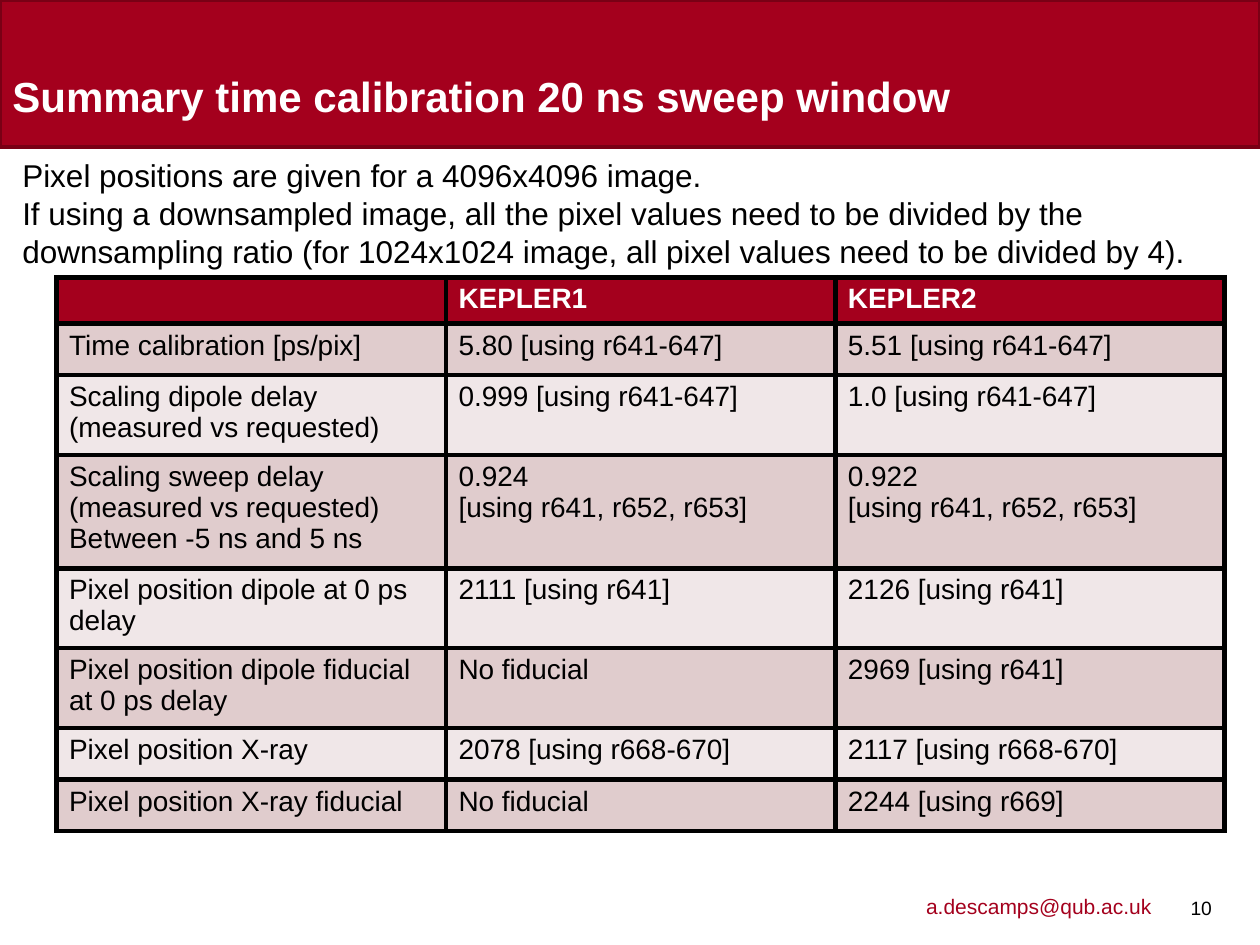
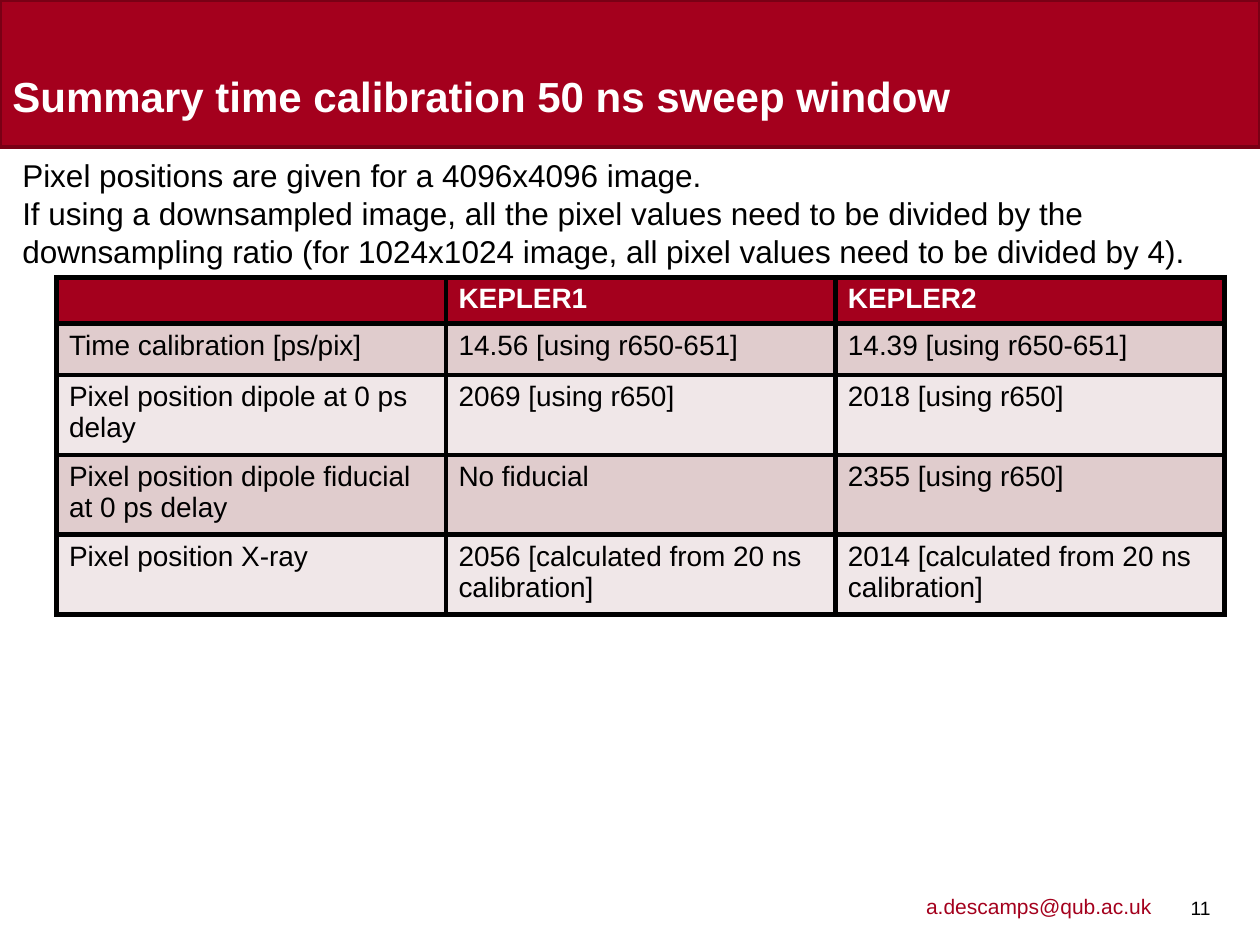
from lxml.etree import SubElement
from pptx import Presentation
from pptx.dml.color import RGBColor
from pptx.enum.shapes import MSO_SHAPE
from pptx.enum.text import MSO_ANCHOR, MSO_AUTO_SIZE, PP_ALIGN
from pptx.oxml.ns import qn
from pptx.util import Cm, Pt

# Content
INTRO = (
    "Pixel positions are given for a 4096x4096 image.\n"
    "If using a downsampled image, all the pixel values need to be divided by the "
    "downsampling ratio (for 1024x1024 image, all pixel values need to be divided by 4)."
)
MAIL = "a.descamps@qub.ac.uk"
HEAD = ("", "KEPLER1", "KEPLER2")
TIME = "Time calibration [ps/pix]"
DIPOLE = "Pixel position dipole at 0 ps delay"
FIDUCIAL = "Pixel position dipole fiducial at 0 ps delay"
XRAY = "Pixel position X-ray"
NONE = "No fiducial"

SLIDES = [
    {
        "page": "10",
        "title": "Summary time calibration 20 ns sweep window",
        "rows": [
            (TIME, "5.80 [using r641-647]", "5.51 [using r641-647]"),
            ("Scaling dipole delay (measured vs requested)",
             "0.999 [using r641-647]", "1.0 [using r641-647]"),
            ("Scaling sweep delay (measured vs requested)\nBetween -5 ns and 5 ns",
             "0.924\n[using r641, r652, r653]", "0.922\n[using r641, r652, r653]"),
            (DIPOLE, "2111 [using r641]", "2126 [using r641]"),
            (FIDUCIAL, NONE, "2969 [using r641]"),
            (XRAY, "2078 [using r668-670]", "2117 [using r668-670]"),
            ("Pixel position X-ray fiducial", NONE, "2244 [using r669]"),
        ],
    },
    {
        "page": "11",
        "title": "Summary time calibration 50 ns sweep window",
        "rows": [
            (TIME, "14.56 [using r650-651]", "14.39 [using r650-651]"),
            (DIPOLE, "2069 [using r650]", "2018 [using r650]"),
            (FIDUCIAL, NONE, "2355 [using r650]"),
            (XRAY, "2056 [calculated from 20 ns calibration]",
             "2014 [calculated from 20 ns calibration]"),
        ],
    },
]

# Shared style
FONT = "Arial"
RED, EDGE, BLACK, WHITE = "A4001D", "790015", "000000", "FFFFFF"
BANDS = ("E0CCCD", "F0E7E8")
WIDTH, HEIGHT = Cm(25.4), Cm(19.05)
HEAD_H, ROW_H = Cm(0.89), Cm(1.04)


def color(code):
    return RGBColor.from_string(code)


def style(frame, size, code, bold=False):
    for para in frame.paragraphs:
        para.alignment = PP_ALIGN.LEFT
        font = para.font
        font.name, font.size, font.bold = FONT, Pt(size), bold
        font.color.rgb = color(code)


def add_text(slide, text, place, size, code):
    frame = slide.shapes.add_textbox(*place).text_frame
    frame.word_wrap = True
    frame.text = text
    style(frame, size, code)
    return frame


def add_title(slide, text):
    # Red band, placed behind the title
    title = slide.shapes.title
    band = slide.shapes.add_shape(MSO_SHAPE.RECTANGLE, 0, 0, WIDTH, Cm(2.97))
    band.shadow.inherit = False
    band.fill.solid()
    band.fill.fore_color.rgb = color(RED)
    band.line.color.rgb = color(EDGE)
    band.line.width = Pt(2)
    title.element.addprevious(band.element)

    title.left, title.top = Cm(0.25), Cm(0.36)
    title.width, title.height = Cm(24.89), Cm(2.08)
    frame = title.text_frame
    frame.text = text
    frame.auto_size = MSO_AUTO_SIZE.NONE
    frame.vertical_anchor = MSO_ANCHOR.BOTTOM
    frame.margin_left = frame.margin_right = 0
    frame.margin_top = frame.margin_bottom = 0
    style(frame, 24, WHITE, True)


def add_footer(slide, page):
    add_text(slide, MAIL, (Cm(18.42), Cm(17.88), Cm(5.36), Cm(0.76)), 12, RED)
    place = Cm(23.8), Cm(17.55), Cm(0.89), Cm(1.5)
    frame = add_text(slide, page, place, 11, BLACK)
    frame.vertical_anchor = MSO_ANCHOR.MIDDLE
    frame.margin_left = frame.margin_right = Cm(0.2)


def add_border(cell):
    props = cell._tc.get_or_add_tcPr()
    for spot, side in enumerate(("lnL", "lnR", "lnT", "lnB")):
        line = props.makeelement(qn("a:" + side), {"w": str(Pt(3))})
        fill = SubElement(line, qn("a:solidFill"))
        SubElement(fill, qn("a:srgbClr"), val=BLACK)
        props.insert(spot, line)


def add_grid(slide, rows):
    rows = [HEAD, *rows]
    tall = HEAD_H + ROW_H * (len(rows) - 1)
    table = slide.shapes.add_table(
        len(rows), len(HEAD), Cm(1.14), Cm(5.59), Cm(23.55), tall).table
    for r, row in enumerate(rows):
        table.rows[r].height = ROW_H if r else HEAD_H
        for c, text in enumerate(row):
            cell = table.cell(r, c)
            cell.text = text
            cell.fill.solid()
            cell.fill.fore_color.rgb = color(BANDS[(r - 1) % 2] if r else RED)
            style(cell.text_frame, 16, BLACK if r else WHITE, r == 0)
            add_border(cell)
            if not text:
                # Keep the empty corner from stretching its row
                cell.margin_top = cell.margin_bottom = 0


def main():
    deck = Presentation()
    deck.slide_width, deck.slide_height = WIDTH, HEIGHT
    for item in SLIDES:
        slide = deck.slides.add_slide(deck.slide_layouts[5])
        add_title(slide, item["title"])
        add_footer(slide, item["page"])
        add_grid(slide, item["rows"])
        add_text(slide, INTRO, (Cm(0.2), Cm(3.02), Cm(24.94), Cm(2.57)), 18, BLACK)
    deck.save("out.pptx")


if __name__ == "__main__":
    main()
